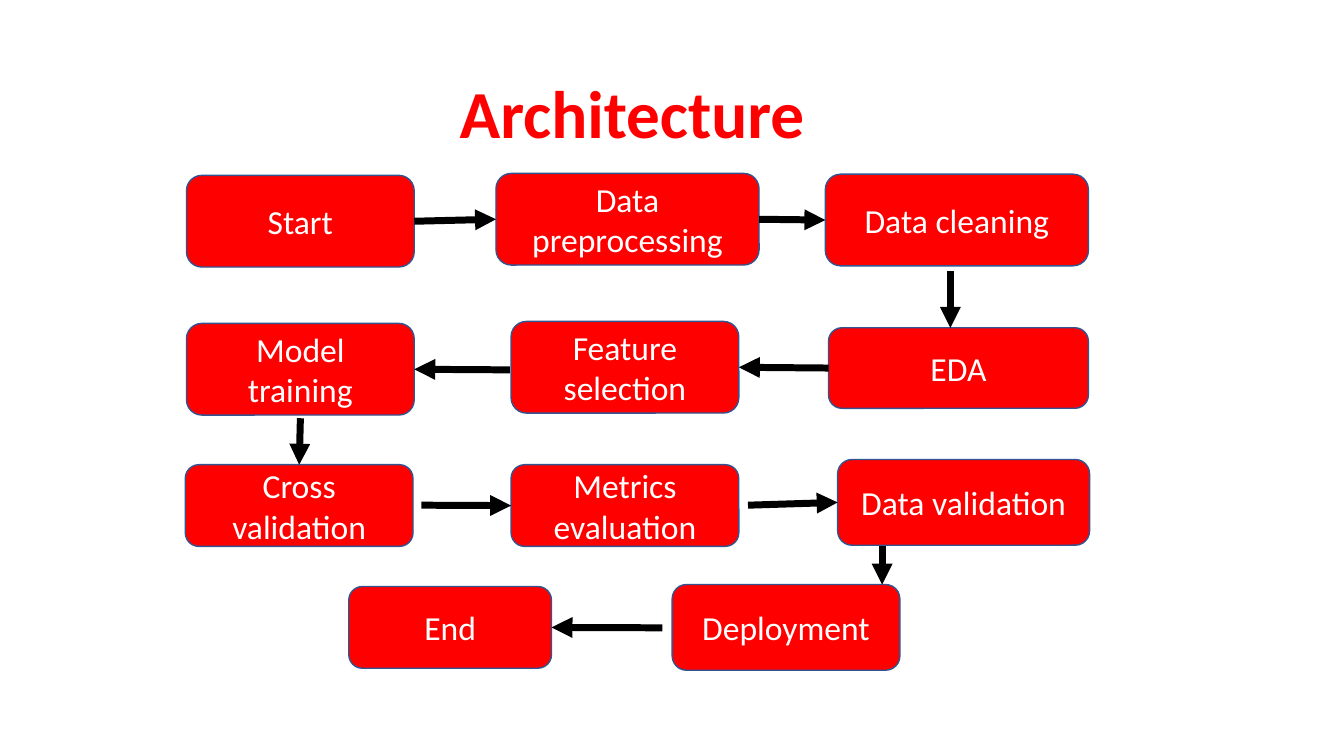
from pptx import Presentation
from pptx.dml.color import RGBColor
from pptx.enum.shapes import MSO_CONNECTOR as Connector, MSO_SHAPE as Shape
from pptx.enum.text import MSO_ANCHOR as Anchor, MSO_AUTO_SIZE as AutoSize, PP_ALIGN as Align
from pptx.oxml.ns import qn
from pptx.util import Cm, Pt
from lxml.etree import SubElement

COLORS = {"accent": "FF0000", "outline": "325491", "label": "FFFFFF", "arrow": "000000"}
SITES = {"top": 0, "left": 1, "bottom": 2, "right": 3}

STEPS = {
    "Start": (4.7, 4.42, 5.74, 2.31),
    "Data preprocessing": (12.5, 4.37, 6.63, 2.31),
    "Data cleaning": (20.8, 4.39, 6.63, 2.31),
    "EDA": (20.88, 8.26, 6.55, 2.03),
    "Feature selection": (12.88, 8.1, 5.74, 2.31),
    "Model training": (4.7, 8.15, 5.74, 2.31),
    "Cross validation": (4.67, 11.71, 5.74, 2.06),
    "Metrics evaluation": (12.88, 11.71, 5.74, 2.06),
    "Data validation": (21.11, 11.58, 6.35, 2.16),
    "Deployment": (16.94, 14.73, 5.74, 2.16),
    "End": (8.79, 14.78, 5.11, 2.06),
}

FLOWS = [
    (("Start", "right"), ("Data preprocessing", "left")),
    (("Data preprocessing", "right"), ("Data cleaning", "left")),
    ((23.95, 6.83), (23.95, 8.26)),
    (("EDA", "left"), ("Feature selection", "right")),
    ((12.85, 9.32), ("Model training", "right")),
    ((7.57, 10.54), ("Cross validation", "top")),
    ((10.62, 12.73), ("Metrics evaluation", "left")),
    ((18.85, 12.73), ("Data validation", "left")),
    ((22.23, 13.77), (22.23, 14.73)),
    ((16.69, 15.82), ("End", "right")),
]


class FlowSlide:
    """Draws a styled flow chart on one slide."""

    def __init__(self, slide, font="Calibri"):
        self.slide = slide
        self.font = font
        self.steps = {}

    def color(self, key):
        return RGBColor.from_string(COLORS[key])

    def set_label(self, frame, text, size, color, align, bold=False):
        frame.text = text
        frame.word_wrap = True
        paragraph = frame.paragraphs[0]
        paragraph.alignment = align
        font = paragraph.runs[0].font
        font.name, font.size, font.bold = self.font, Pt(size), bold
        font.color.rgb = self.color(color)

    def title(self, text, left, top, width, height):
        heading = self.slide.shapes.title
        heading.left, heading.top = Cm(left), Cm(top)
        heading.width, heading.height = Cm(width), Cm(height)
        self.set_label(heading.text_frame, text, 48, "accent", Align.LEFT, bold=True)
        heading.text_frame.auto_size = AutoSize.NONE
        heading.text_frame.vertical_anchor = Anchor.TOP

    def step(self, text, *bounds):
        box = self.slide.shapes.add_shape(Shape.ROUNDED_RECTANGLE, *map(Cm, bounds))
        box.shadow.inherit = False
        box.fill.solid()
        box.fill.fore_color.rgb = self.color("accent")
        box.line.color.rgb = self.color("outline")
        box.line.width = Pt(1)
        self.set_label(box.text_frame, text, 24, "label", Align.CENTER)
        box.text_frame.vertical_anchor = Anchor.MIDDLE
        self.steps[text] = box

    def point(self, end):
        return (0, 0) if end[0] in self.steps else tuple(map(Cm, end))

    def arrow(self, start, finish):
        link = self.slide.shapes.add_connector(
            Connector.STRAIGHT, *self.point(start), *self.point(finish))
        for end, attach in ((start, link.begin_connect), (finish, link.end_connect)):
            if end[0] in self.steps:
                attach(self.steps[end[0]], SITES[end[1]])
        link.line.color.rgb = self.color("arrow")
        link.line.width = Pt(5)
        properties = link.element.spPr
        SubElement(properties.find(qn("a:ln")), qn("a:tailEnd"), type="triangle")
        SubElement(properties, qn("a:effectLst"))


def main():
    deck = Presentation()
    deck.slide_width, deck.slide_height = Cm(33.87), Cm(19.05)
    chart = FlowSlide(deck.slides.add_slide(deck.slide_layouts[5]))
    chart.title("Architecture", 11.33, 1.68, 22, 2.31)
    for text, bounds in STEPS.items():
        chart.step(text, *bounds)
    for start, finish in FLOWS:
        chart.arrow(start, finish)
    deck.save("out.pptx")


if __name__ == "__main__":
    main()
